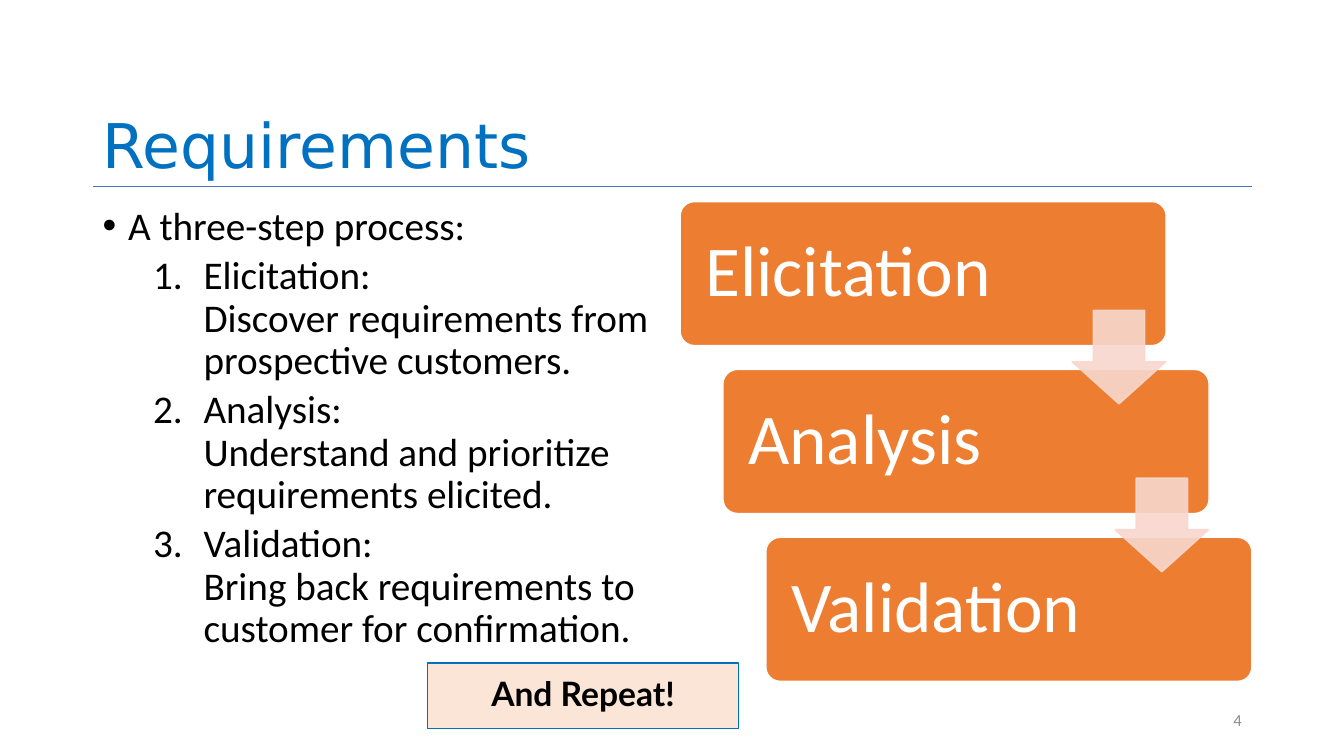
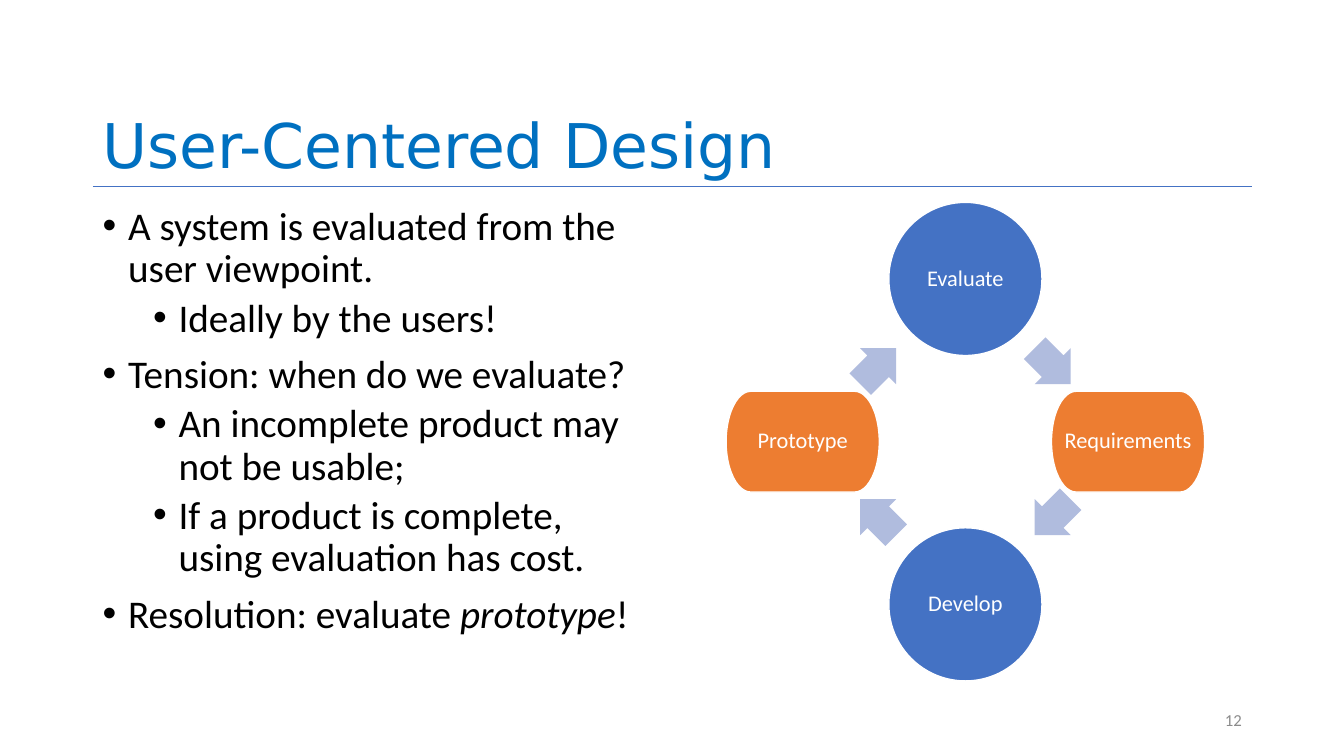
"""Build two slides on requirements and user-centered design."""
from math import cos, radians, sin

from lxml.etree import SubElement
from pptx import Presentation
from pptx.dml.color import RGBColor
from pptx.enum.shapes import MSO_CONNECTOR, MSO_SHAPE
from pptx.enum.text import MSO_ANCHOR, PP_ALIGN
from pptx.oxml.ns import qn
from pptx.util import Cm, Pt

WHITE = RGBColor(0xFF, 0xFF, 0xFF)
BLACK = RGBColor(0x00, 0x00, 0x00)
TITLE_BLUE = RGBColor(0x00, 0x70, 0xC0)
BLUE = RGBColor(0x44, 0x72, 0xC4)
PALE_BLUE = RGBColor(0xB0, 0xBC, 0xDE)
ORANGE = RGBColor(0xED, 0x7D, 0x31)
PALE_ORANGE = RGBColor(0xFB, 0xE5, 0xD6)
PINK = RGBColor(0xF8, 0xD7, 0xCE)
GREY = RGBColor(0x8C, 0x8C, 0x8C)


def write(owner, text, size, color, font="Calibri", align=PP_ALIGN.LEFT,
          anchor=MSO_ANCHOR.MIDDLE, inset=None, bold=False):
    """Put one styled paragraph into a shape or text box."""
    frame = owner.text_frame
    frame.text = text
    frame.word_wrap = True
    frame.vertical_anchor = anchor
    if inset is not None:
        frame.margin_left = frame.margin_right = Cm(inset)
        frame.margin_top = frame.margin_bottom = Cm(inset)
    paragraph = frame.paragraphs[0]
    paragraph.alignment = align
    paragraph.line_spacing = 0.9
    run_font = paragraph.runs[0].font
    run_font.name, run_font.size, run_font.bold = font, Pt(size), bold
    run_font.color.rgb = color


def draw(slide, preset, left, top, width, height, fill, outline=None):
    """Add a flat preset shape, measured in centimetres."""
    shape = slide.shapes.add_shape(preset, Cm(left), Cm(top), Cm(width), Cm(height))
    shape.shadow.inherit = False
    shape.fill.solid()
    shape.fill.fore_color.rgb = fill
    if outline is None:
        shape.line.fill.background()
    else:
        shape.line.color.rgb = outline
        shape.line.width = Pt(1)
    return shape


PAGES = [
    ("Requirements", "4", [
        ("top", "A three-step process:"),
        ("step", "Elicitation:\vDiscover requirements from prospective customers."),
        ("step", "Analysis:\vUnderstand and prioritize requirements elicited."),
        ("step", "Validation:\vBring back requirements to customer for confirmation."),
    ]),
    ("User-Centered Design", "12", [
        ("top", "A system is evaluated from the user viewpoint."),
        ("sub", "Ideally by the users!"),
        ("top", "Tension: when do we evaluate?"),
        ("sub", "An incomplete product may not be usable;"),
        ("sub", "If a product is complete, using evaluation has cost."),
        ("top", "Resolution: evaluate *prototype*!"),
    ]),
]
OUTLINE_STYLES = {
    "top": (0, 0.64, 0.64, 10),
    "sub": (1, 1.91, 0.64, 5),
    "step": (1, 2.54, 1.27, 5),
}

deck = Presentation()
deck.slide_width, deck.slide_height = Cm(33.87), Cm(19.05)
slides = []

for title, number, outline in PAGES:
    slide = deck.slides.add_slide(deck.slide_layouts[6])
    slides.append(slide)

    rule = slide.shapes.add_connector(
        MSO_CONNECTOR.STRAIGHT, Cm(2.34), Cm(4.7), Cm(31.55), Cm(4.7))
    rule.line.color.rgb = BLUE
    rule.line.width = Pt(0.5)
    SubElement(rule.element.spPr, qn("a:effectLst"))

    heading = slide.shapes.add_textbox(Cm(2.34), Cm(1.02), Cm(29.21), Cm(3.68))
    write(heading, title, 44, TITLE_BLUE, "DejaVu Sans", anchor=MSO_ANCHOR.BOTTOM)

    body = slide.shapes.add_textbox(Cm(2.34), Cm(5.08), Cm(14.4), Cm(12.09)).text_frame
    body.word_wrap = True
    for index, (kind, text) in enumerate(outline):
        level, margin, hanging, gap = OUTLINE_STYLES[kind]
        point = body.add_paragraph() if index else body.paragraphs[0]
        point.level = level
        properties = point._p.get_or_add_pPr()
        properties.set("marL", str(Cm(margin)))
        properties.set("indent", str(-Cm(hanging)))
        if kind == "step":
            SubElement(properties, qn("a:buFont"), typeface="+mj-lt")
            SubElement(properties, qn("a:buAutoNum"), type="arabicPeriod")
        else:
            SubElement(properties, qn("a:buFont"), typeface="Arial")
            SubElement(properties, qn("a:buChar"), char="•")
        point.line_spacing = 0.9
        if index:
            point.space_before = Pt(gap)
        point.text = text.split("*")[0]
        for position, part in enumerate(text.split("*")[1:]):
            run = point.add_run()
            run.text = part
            run.font.italic = position % 2 == 0
        for run in point.runs:
            run.font.name, run.font.size = "Calibri", Pt(28)
            run.font.color.rgb = BLACK

    page_number = slide.shapes.add_textbox(Cm(23.93), Cm(17.65), Cm(7.62), Cm(1.02))
    write(page_number, number, 12, GREY, align=PP_ALIGN.RIGHT)

requirements, user_design = slides

STAIR_X, STAIR_Y = 1.08, 4.23
for index, stage in enumerate(["Elicitation", "Analysis", "Validation"]):
    step = draw(requirements, MSO_SHAPE.ROUNDED_RECTANGLE, 17.14 + index * STAIR_X,
                5.08 + index * STAIR_Y, 12.25, 3.63, ORANGE, WHITE)
    step.adjustments[0] = 0.1
    write(step, stage, 51, WHITE, inset=0.53)

for index in range(2):
    descent = draw(requirements, MSO_SHAPE.DOWN_ARROW, 27.02 + index * STAIR_X,
                   7.82 + index * STAIR_Y, 2.36, 2.36, PINK, PINK)
    descent.adjustments[0], descent.adjustments[1] = 0.55, 0.45
    for color in descent.element.spPr.iter(qn("a:srgbClr")):
        SubElement(color, qn("a:alpha"), val="90000")

repeat = draw(requirements, MSO_SHAPE.RECTANGLE, 10.77, 16.71, 7.85, 1.65,
              PALE_ORANGE, TITLE_BLUE)
write(repeat, "And Repeat!", 24, BLACK, "Lato", PP_ALIGN.CENTER, bold=True)

CENTER_X, CENTER_Y, RADIUS = 24.33, 11.13, 4.1
ARROW_X, ARROW_Y, ARROW_SIZE = 3.11, 2.69, 1.28
NODE_WIDTH = 3.86
ACTIVITY = (MSO_SHAPE.OVAL, NODE_WIDTH, BLUE)
MILESTONE = (MSO_SHAPE.FLOWCHART_TERMINATOR, 2.54, ORANGE)
CYCLE = [("Evaluate", ACTIVITY), ("Requirements", MILESTONE),
         ("Develop", ACTIVITY), ("Prototype", MILESTONE)]

for index, (phase, (preset, height, fill)) in enumerate(CYCLE):
    angle = radians(90 * index - 90)
    node = draw(user_design, preset,
                CENTER_X + RADIUS * cos(angle) - NODE_WIDTH / 2,
                CENTER_Y + RADIUS * sin(angle) - height / 2,
                NODE_WIDTH, height, fill, WHITE)
    write(node, phase, 16, WHITE, align=PP_ALIGN.CENTER, inset=0.05)

    angle += radians(45)
    turn = draw(user_design, MSO_SHAPE.RIGHT_ARROW,
                CENTER_X + ARROW_X * cos(angle) - ARROW_SIZE / 2,
                CENTER_Y + ARROW_Y * sin(angle) - ARROW_SIZE / 2,
                ARROW_SIZE, ARROW_SIZE, PALE_BLUE)
    turn.adjustments[0], turn.adjustments[1] = 0.6, 0.5
    turn.rotation = 45 + 90 * index

deck.save("out.pptx")
